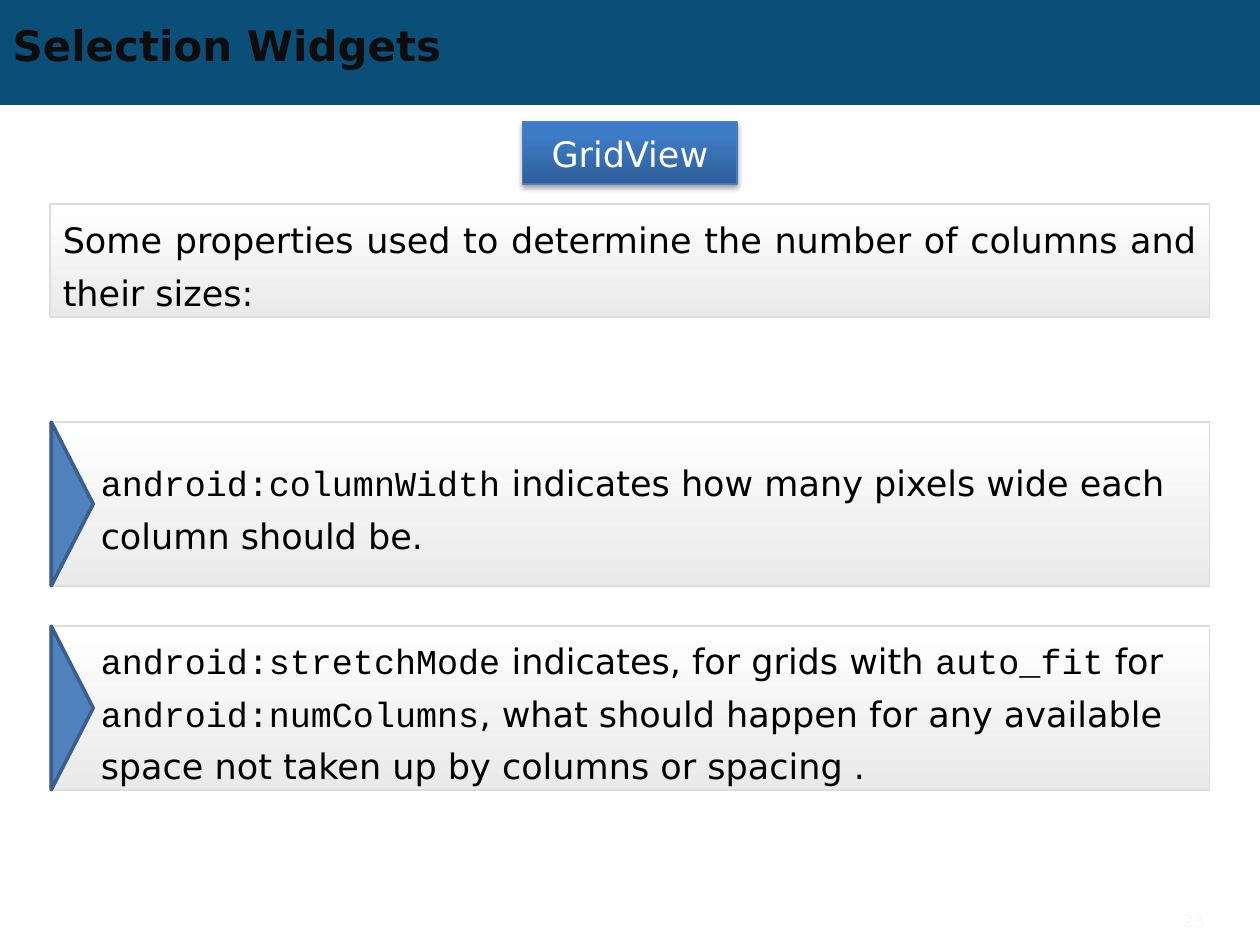
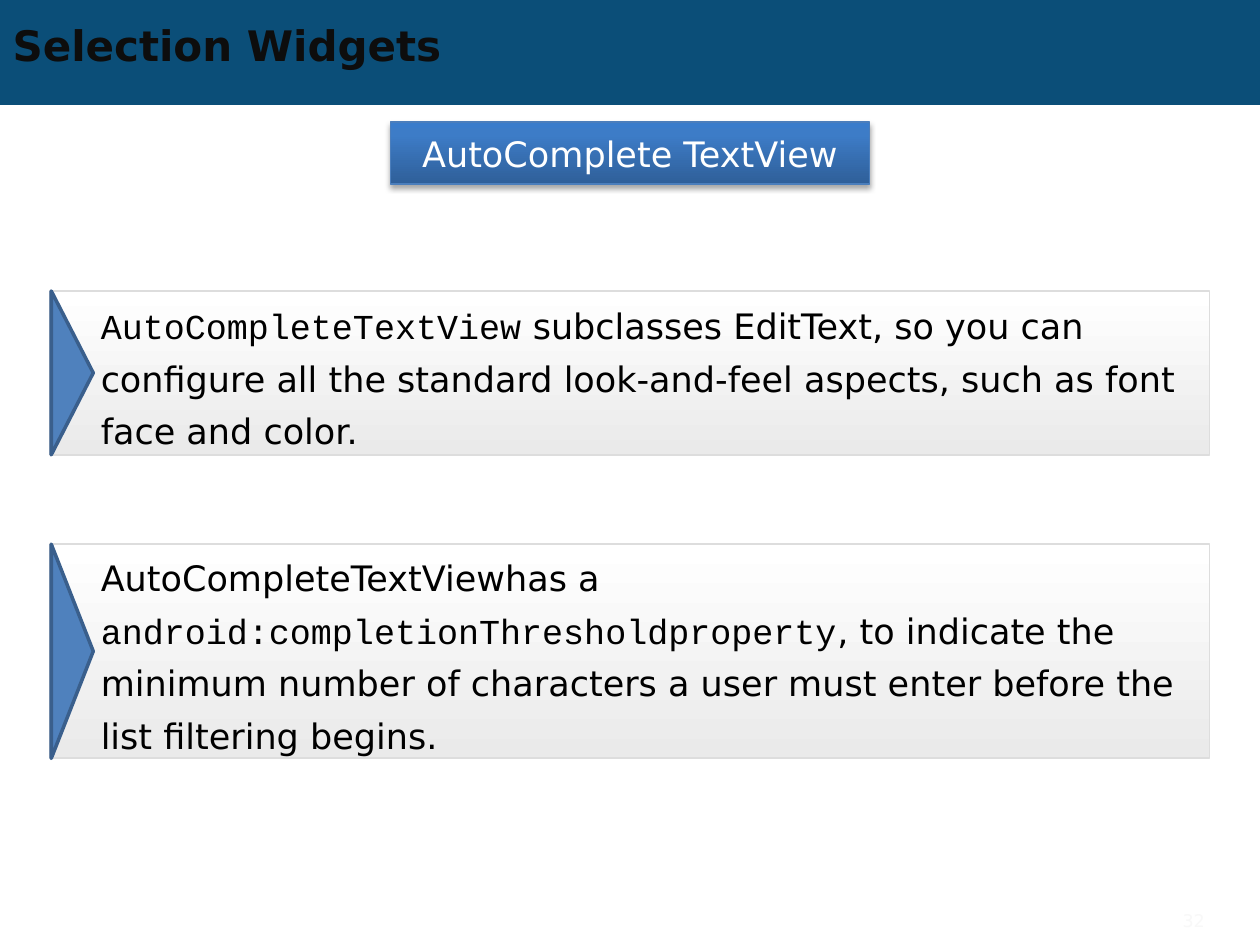
from copy import deepcopy

from lxml.etree import SubElement
from pptx import Presentation
from pptx.dml.color import RGBColor
from pptx.enum.shapes import MSO_SHAPE
from pptx.enum.text import MSO_ANCHOR, MSO_AUTO_SIZE, PP_ALIGN
from pptx.oxml.ns import qn
from pptx.util import Pt

SANS, MONO = "DejaVu Sans", "Courier New"
SLIDE_W, SLIDE_H = 720, 540
PANEL_LEFT, PANEL_W = 28.8, 662.4
ARROW_W = 24


def rgb(value):
    return RGBColor.from_string(value)


def add_run(p, text, size=20, font=SANS, color="000000", bold=False):
    r = p.add_run()
    r.text = text
    r.font.size, r.font.name, r.font.bold = Pt(size), font, bold
    r.font.color.rgb = rgb(color)


def set_frame(tf, left=7.2, right=7.2, vertical=3.6):
    tf.word_wrap = True
    tf.auto_size = MSO_AUTO_SIZE.NONE
    tf.vertical_anchor = MSO_ANCHOR.MIDDLE
    tf.margin_left, tf.margin_right = Pt(left), Pt(right)
    tf.margin_top = tf.margin_bottom = Pt(vertical)


def fill_gradient(shape, stops, angle):
    """Fill with (position, colour) stops; the angle is counter-clockwise."""
    fill = shape.fill
    fill.gradient()
    fill.gradient_angle = angle
    gs_list = shape._element.spPr.find(qn("a:gradFill")).find(qn("a:gsLst"))
    while len(gs_list) < len(stops):
        gs_list.append(deepcopy(gs_list[-1]))
    for stop, (position, color) in zip(fill.gradient_stops, stops):
        stop.position = position
        stop.color.rgb = rgb(color)


def add_shadow(shape, color, alpha, blur, distance):
    """Cast a shadow straight down."""
    effects = shape._element.spPr.find(qn("a:effectLst"))
    shadow = SubElement(effects, qn("a:outerShdw"), blurRad=str(int(Pt(blur))),
                        dist=str(int(Pt(distance))), dir="5400000", rotWithShape="0")
    clr = SubElement(shadow, qn("a:srgbClr"), val=color)
    SubElement(clr, qn("a:alpha"), val=str(alpha * 1000))


class Deck:
    def __init__(self):
        self.prs = Presentation()
        self.prs.slide_width, self.prs.slide_height = Pt(SLIDE_W), Pt(SLIDE_H)
        self.layout = self.prs.slide_layouts[5]
        self.s = None

    def shape(self, kind, left, top, width, height, line=None, line_w=1, parent=None):
        shapes = (parent or self.s).shapes
        sp = shapes.add_shape(kind, Pt(left), Pt(top), Pt(width), Pt(height))
        sp.shadow.inherit = False
        if line:
            sp.line.color.rgb = rgb(line)
            sp.line.width = Pt(line_w)
        else:
            sp.line.fill.background()
        return sp

    def band(self):
        """Draw the header band once and move it to the shared layout."""
        sp = self.shape(MSO_SHAPE.RECTANGLE, 0, 0, SLIDE_W, 60)
        sp.fill.solid()
        sp.fill.fore_color.rgb = rgb("0B4E78")
        self.layout.shapes._spTree.insert(2, sp._element)

    def slide(self, title, number):
        first = self.s is None
        self.s = self.prs.slides.add_slide(self.layout)
        if first:
            self.band()
        sp = self.s.shapes.title
        sp.left, sp.top, sp.width, sp.height = Pt(0), Pt(10), Pt(648), Pt(31)
        set_frame(sp.text_frame)
        p = sp.text_frame.paragraphs[0]
        p.alignment = PP_ALIGN.LEFT
        add_run(p, title, size=24, color="0D0D0D", bold=True)
        self.page_number(number)

    def page_number(self, number):
        sp = self.s.shapes.add_textbox(Pt(623.5), Pt(515), Pt(72), Pt(22))
        set_frame(sp.text_frame)
        p = sp.text_frame.paragraphs[0]
        p.alignment = PP_ALIGN.RIGHT
        add_run(p, str(number), size=10, color="F8F8F8")

    def topic(self, text, width):
        sp = self.shape(MSO_SHAPE.RECTANGLE, (SLIDE_W - width) / 2, 69.8, width, 35.5,
                        line="4B7EBC", line_w=0.75)
        fill_gradient(sp, [(0, "2F5F99"), (0.8, "3D7CC7"), (1, "3A7CCB")], 90)
        add_shadow(sp, "000000", alpha=35, blur=3.1, distance=1.8)
        set_frame(sp.text_frame)
        p = sp.text_frame.paragraphs[0]
        p.alignment = PP_ALIGN.CENTER
        add_run(p, text, color="FFFFFF")

    def panel(self, top, height, runs, align=PP_ALIGN.LEFT, parent=None, **margins):
        sp = self.shape(MSO_SHAPE.RECTANGLE, PANEL_LEFT, top, PANEL_W, height,
                        line="DDDDDD", parent=parent)
        fill_gradient(sp, [(0, "FFFFFF"), (1, "EAEAEA")], 270)
        set_frame(sp.text_frame, **margins)
        p = sp.text_frame.paragraphs[0]
        p.alignment, p.line_spacing = align, Pt(30)
        for text, font in runs:
            add_run(p, text, font=font)

    def arrow_panel(self, top, height, *runs):
        group = self.s.shapes.add_group_shape()
        self.panel(top, height, runs, parent=group, left=28.8, vertical=0)
        # Before its quarter turn the triangle is as wide as the panel is high.
        sp = self.shape(MSO_SHAPE.ISOSCELES_TRIANGLE,
                        PANEL_LEFT + 0.5 + (ARROW_W - height) / 2,
                        top + (height - ARROW_W) / 2, height, ARROW_W,
                        line="3A5F8C", line_w=2, parent=group)
        sp.rotation = 90
        sp.fill.solid()
        sp.fill.fore_color.rgb = rgb("4F81BD")


def main():
    deck = Deck()

    deck.slide("Selection Widgets", 23)
    deck.topic("GridView", 122.4)
    deck.arrow_panel(
        241.2, 93.6,
        ("android:columnWidth", MONO),
        (" indicates how many pixels wide each column should be.", SANS))
    deck.arrow_panel(
        357.8, 93.6,
        ("android:stretchMode", MONO),
        (" indicates, for grids with ", SANS),
        ("auto_fit", MONO),
        (" for ", SANS),
        ("android:numColumns", MONO),
        (", what should happen for any available space not taken up by columns "
         "or spacing .", SANS))
    deck.panel(
        116.6, 64.8,
        [("Some properties used to determine the number of columns and their sizes:", SANS)],
        align=PP_ALIGN.JUSTIFY)

    deck.slide("Selection Widgets", 32)
    deck.topic("AutoComplete TextView", 273.6)
    deck.arrow_panel(
        166.3, 93.6,
        ("AutoCompleteTextView", MONO),
        (" subclasses EditText, so you can configure all the standard "
         "look-and-feel aspects, such as font face and color.", SANS))
    deck.arrow_panel(
        311, 122.4,
        ("AutoCompleteTextViewhas a ", SANS),
        ("android:completionThresholdproperty", MONO),
        (", to indicate the minimum number of characters a user must enter "
         "before the list filtering begins.", SANS))

    deck.prs.save("out.pptx")


if __name__ == "__main__":
    main()
